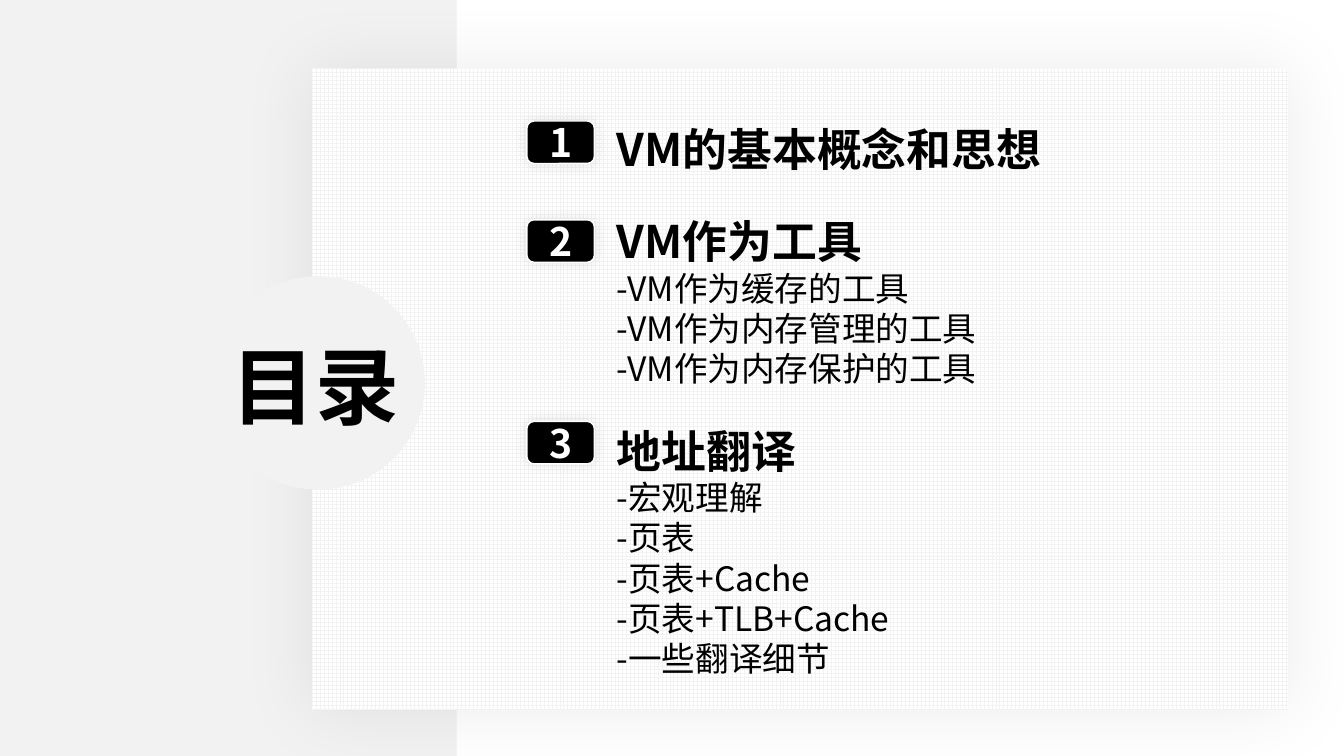
from lxml.etree import SubElement
from pptx import Presentation
from pptx.dml.color import RGBColor
from pptx.enum.dml import MSO_PATTERN
from pptx.enum.shapes import MSO_SHAPE
from pptx.enum.text import MSO_ANCHOR, PP_ALIGN
from pptx.oxml.ns import qn
from pptx.util import Cm, Pt

FONT = "Noto Sans CJK SC"
COLORS = {"black": "000000", "white": "FFFFFF", "grey": "F2F2F2"}

# (badge top, text top, text width, text height, heading, items), lengths in cm
SECTIONS = [
    (3.05, 2.95, 13.67, 2.62, "VM的基本概念和思想", []),
    (5.54, 5.26, 15.34, 5.69, "VM作为工具",
     ["-VM作为缓存的工具", "-VM作为内存管理的工具", "-VM作为内存保护的工具"]),
    (10.62, 10.54, 11.56, 8.1, "地址翻译",
     ["-宏观理解", "-页表", "-页表+Cache", "-页表+TLB+Cache", "-一些翻译细节"]),
]


def rgb(name):
    return RGBColor.from_string(COLORS[name])


def add_text(p, text, size=24, color="black", bold=False, align=None):
    p.alignment = align
    r = p.add_run()
    r.text = text
    r.font.name = FONT
    r.font.size = Pt(size)
    r.font.bold = bold
    r.font.color.rgb = rgb(color)
    SubElement(r.font._element, qn("a:ea"), typeface=FONT)


def add_plain_shape(s, kind, left, top, width, height, fill=None):
    sp = s.shapes.add_shape(kind, Cm(left), Cm(top), Cm(width), Cm(height))
    sp.shadow.inherit = False
    sp.line.fill.background()
    if fill:
        sp.fill.solid()
        sp.fill.fore_color.rgb = rgb(fill)
    else:
        sp.fill.background()
    return sp


def add_glow_shadow(sp, alpha, blur):
    """Add a centred soft black shadow; alpha in percent, blur in points."""
    effects = sp._element.spPr.find(qn("a:effectLst"))
    shadow = SubElement(effects, qn("a:outerShdw"), blurRad=str(Pt(blur)),
                        dist="0", dir="0", algn="ctr", rotWithShape="0")
    clr = SubElement(shadow, qn("a:srgbClr"), val=COLORS["black"])
    SubElement(clr, qn("a:alpha"), val=str(alpha * 1000))


def add_centred_label(sp, text, **fmt):
    tf = sp.text_frame
    tf.vertical_anchor = MSO_ANCHOR.MIDDLE
    add_text(tf.paragraphs[0], text, bold=True, align=PP_ALIGN.CENTER, **fmt)


def add_panel(s):
    panel = add_plain_shape(s, MSO_SHAPE.RECTANGLE, 7.87, 1.73, 24.59, 16.15)
    panel.fill.patterned()
    panel.fill.pattern = MSO_PATTERN.LARGE_GRID
    panel.fill.fore_color.rgb = rgb("grey")
    panel.fill.back_color.rgb = rgb("white")
    add_glow_shadow(panel, alpha=7, blur=54)


def add_badge(s, number, top):
    badge = add_plain_shape(s, MSO_SHAPE.ROUNDED_RECTANGLE, 13.28, top, 1.7, 1.07, "black")
    badge.line.color.rgb = rgb("white")
    badge.line.width = Pt(1)
    add_glow_shadow(badge, alpha=10, blur=10)
    add_centred_label(badge, str(number), size=28, color="white")


def add_section_text(s, top, width, height, heading, items):
    tf = s.shapes.add_textbox(Cm(15.29), Cm(top), Cm(width), Cm(height)).text_frame
    tf.word_wrap = True
    add_text(tf.paragraphs[0], heading, size=32, bold=True)
    for item in items:
        add_text(tf.add_paragraph(), item)


def main():
    prs = Presentation()
    prs.slide_width, prs.slide_height = Cm(33.87), Cm(19.05)
    s = prs.slides.add_slide(prs.slide_layouts[6])

    add_plain_shape(s, MSO_SHAPE.RECTANGLE, 0, 0, 11.51, 19.05, "grey")
    add_panel(s)
    add_plain_shape(s, MSO_SHAPE.OVAL, 5.33, 6.96, 5.38, 5.38, "grey")
    title = add_plain_shape(s, MSO_SHAPE.OVAL, 4.27, 6.02, 7.37, 7.37)
    add_centred_label(title, "目录", size=60)

    for number, (badge_top, *text) in enumerate(SECTIONS, 1):
        add_section_text(s, *text)
        add_badge(s, number, badge_top)

    prs.save("out.pptx")


if __name__ == "__main__":
    main()
